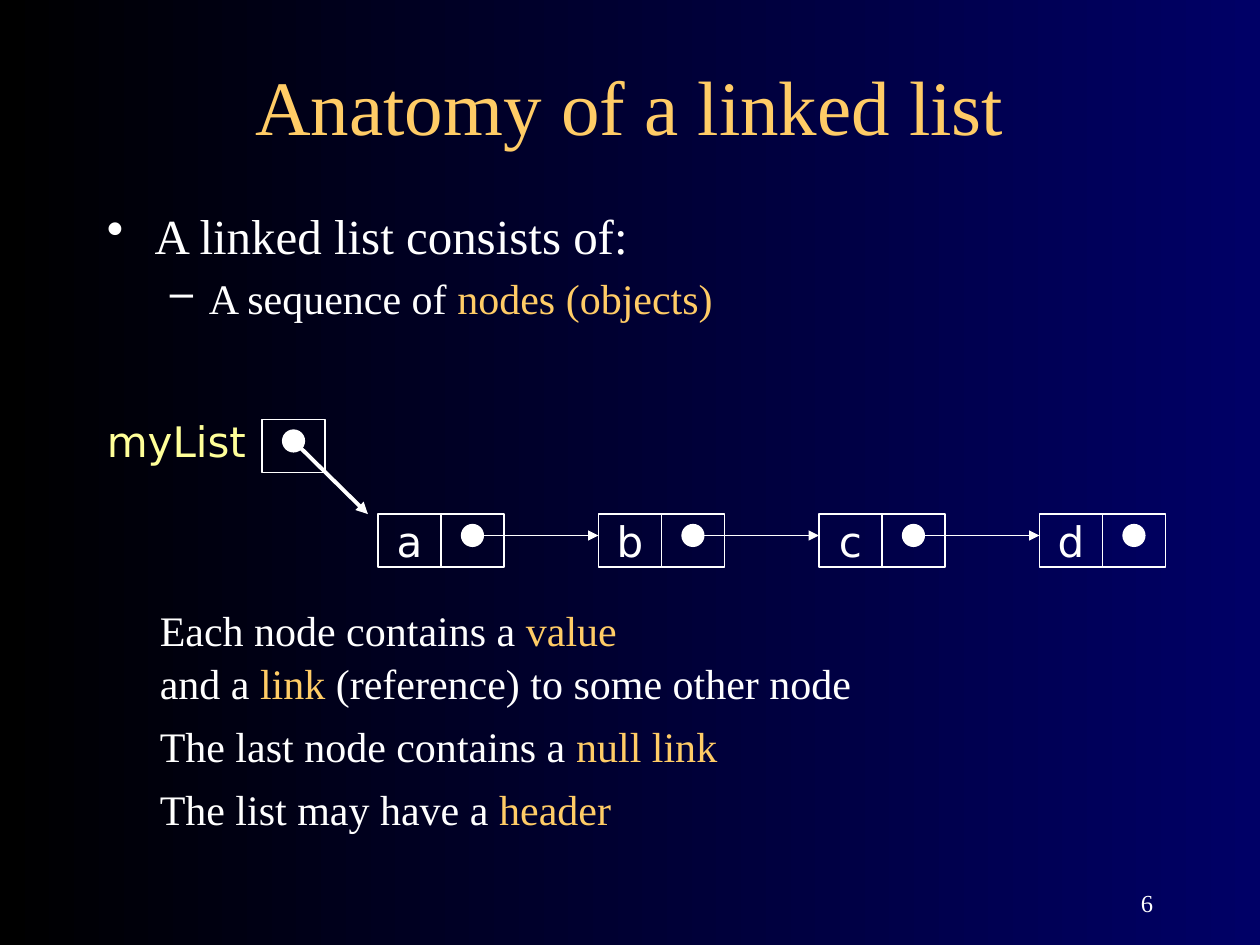
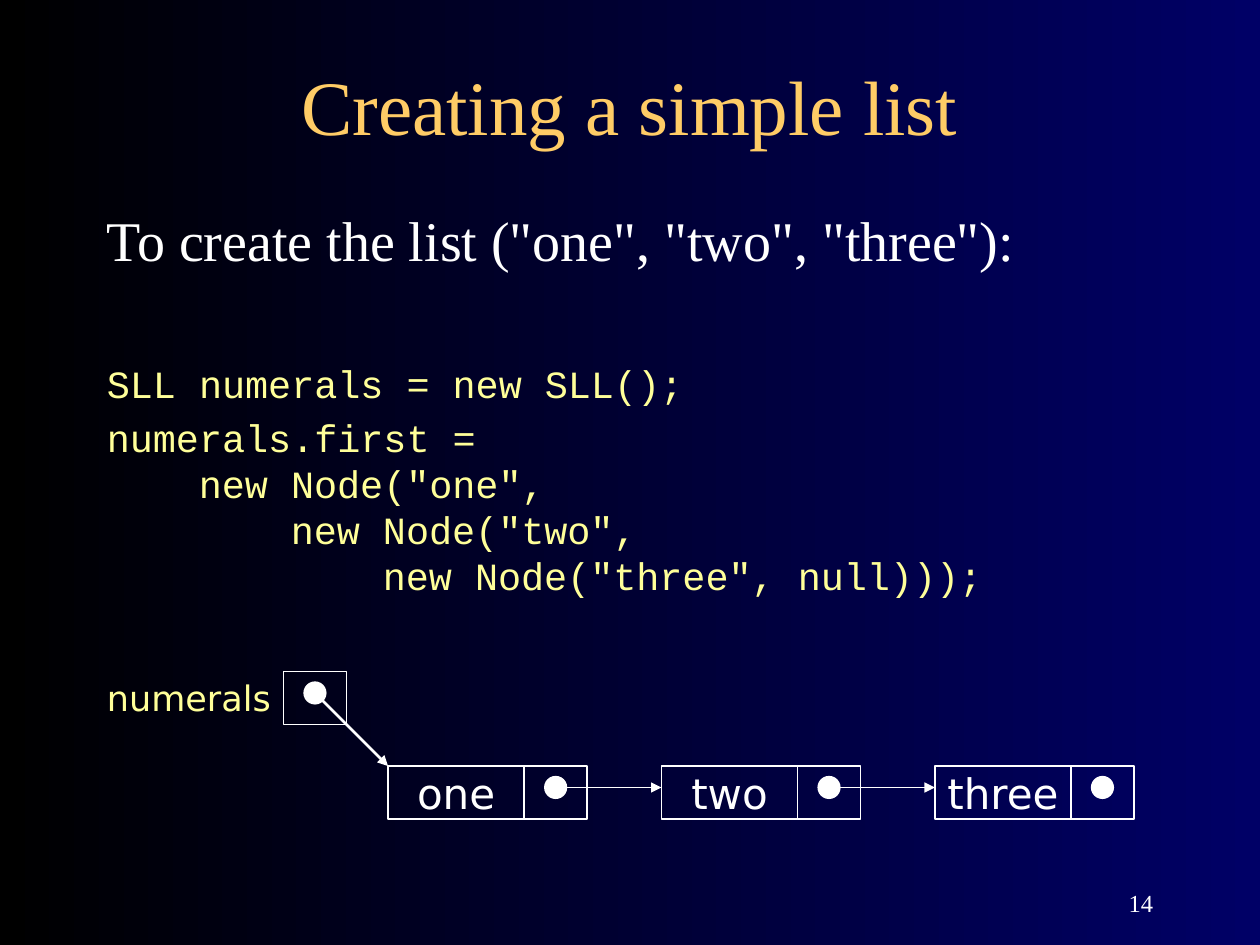
from lxml import etree
from pptx import Presentation
from pptx.dml.color import RGBColor
from pptx.enum.shapes import MSO_CONNECTOR, MSO_SHAPE
from pptx.enum.text import MSO_ANCHOR, PP_ALIGN
from pptx.oxml.ns import qn
from pptx.util import Inches, Pt

STRAIGHT = MSO_CONNECTOR.STRAIGHT
RECTANGLE, OVAL = MSO_SHAPE.RECTANGLE, MSO_SHAPE.OVAL
TOP, MIDDLE, BOTTOM = MSO_ANCHOR.TOP, MSO_ANCHOR.MIDDLE, MSO_ANCHOR.BOTTOM
LEFT, CENTER, RIGHT = PP_ALIGN.LEFT, PP_ALIGN.CENTER, PP_ALIGN.RIGHT

SERIF, SANS, MONO = "Times New Roman", "DejaVu Sans", "Courier New"
BLACK, NAVY, WHITE = "000000", "000066", "FFFFFF"
GOLD, YELLOW = "FFCC66", "FFFF99"

CELL_WIDTH, CELL_HEIGHT = 0.5, 0.42
DOT_SIZE = 0.17
DOT_X, DOT_Y = 0.25, 0.17
CODE_INDENT = 0.73


def rgb(value):
    return RGBColor.from_string(value)


def set_background(deck):
    fill = deck.slide_master.background.fill
    fill.gradient()
    fill.gradient_angle = 0
    for stop, color in zip(fill.gradient_stops, (BLACK, NAVY)):
        stop.color.rgb = rgb(color)


def write_para(para, spans, size, font=SERIF, align=LEFT, before=0):
    para.alignment = align
    para.space_before = Pt(before)
    for text, color in spans:
        span = para.add_run()
        span.text = text
        span.font.size = Pt(size)
        span.font.name = font
        span.font.color.rgb = rgb(color)


def indent_para(para, left, first=0, bullet=None):
    properties = para._p.get_or_add_pPr()
    properties.set("marL", str(Inches(left)))
    properties.set("indent", str(Inches(first)))
    if bullet:
        etree.SubElement(properties, qn("a:buChar")).set("char", bullet)


def add_frame(page, left, top, width, height, anchor=TOP):
    box = page.shapes.add_textbox(Inches(left), Inches(top), Inches(width), Inches(height))
    frame = box.text_frame
    frame.word_wrap = True
    frame.vertical_anchor = anchor
    return frame


def add_page(deck, title, number):
    page = deck.slides.add_slide(deck.slide_layouts[6])
    frame = add_frame(page, 7.17, 6.83, 2.08, 0.5, BOTTOM)
    write_para(frame.paragraphs[0], [(number, WHITE)], 14, align=RIGHT)
    frame = add_frame(page, 0.75, 0.42, 8.5, 0.83, MIDDLE)
    write_para(frame.paragraphs[0], [(title, GOLD)], 44, align=CENTER)
    return page


def add_outline(page, kind, left, top, width, height):
    shape = page.shapes.add_shape(kind, Inches(left), Inches(top), Inches(width), Inches(height))
    shape.shadow.inherit = False
    shape.fill.background()
    shape.line.color.rgb = rgb(WHITE)
    shape.line.width = Pt(1)
    return shape


def add_value_cell(page, left, top, width, value):
    frame = add_outline(page, RECTANGLE, left, top, width, CELL_HEIGHT).text_frame
    frame.word_wrap = False
    frame.vertical_anchor = MIDDLE
    write_para(frame.paragraphs[0], [(value, WHITE)], 24, SANS, CENTER)


def add_link_cell(page, left, top):
    add_outline(page, RECTANGLE, left, top, CELL_WIDTH, CELL_HEIGHT)
    dot = add_outline(page, OVAL, left + DOT_X - DOT_SIZE / 2, top + DOT_Y - DOT_SIZE / 2,
                      DOT_SIZE, DOT_SIZE)
    dot.fill.solid()
    dot.fill.fore_color.rgb = rgb(WHITE)
    return left + DOT_X, top + DOT_Y


def add_arrow(page, start, end, weight=1):
    arrow = page.shapes.add_connector(STRAIGHT, *(Inches(value) for value in start + end))
    arrow.line.color.rgb = rgb(WHITE)
    arrow.line.width = Pt(weight)
    etree.SubElement(arrow.line._get_or_add_ln(), qn("a:tailEnd")).set("type", "triangle")
    etree.SubElement(arrow._element.spPr, qn("a:effectLst"))


def add_chain(page, left, top, values, value_width, pitch):
    for index, value in enumerate(values):
        node_left = left + index * pitch
        add_value_cell(page, node_left, top, value_width, value)
        link_x, link_y = add_link_cell(page, node_left + value_width, top)
        if index < len(values) - 1:
            add_arrow(page, (link_x, link_y), (node_left + pitch, link_y))


def add_header(page, name, size, name_top, left, top, target, weight):
    frame = add_frame(page, 0.75, name_top, left - 0.65, 0.5)
    write_para(frame.paragraphs[0], [(name, YELLOW)], size, SANS)
    add_arrow(page, add_link_cell(page, left, top), target, weight)


def build_anatomy(deck):
    page = add_page(deck, "Anatomy of a linked list", "6")
    frame = add_frame(page, 0.75, 1.58, 8.5, 1.58)
    para = frame.paragraphs[0]
    write_para(para, [("A linked list consists of:", WHITE)], 28)
    indent_para(para, 0.38, -0.38, "\u2022")
    para = frame.add_paragraph()
    para.level = 1
    write_para(para, [("A sequence of ", WHITE), ("nodes (objects)", GOLD)], 24, before=4.8)
    indent_para(para, 0.81, -0.31, "\u2013")

    add_chain(page, 3, 4.08, ["a", "b", "c", "d"], CELL_WIDTH, 1.75)
    add_header(page, "myList", 24, 3.25, 2.08, 3.33, (2.92, 4.08), 2.25)

    facts = [
        (4.75, [("Each node contains a ", WHITE), ("value", GOLD)]),
        (5.17, [("and a ", WHITE), ("link", GOLD), (" (reference) to some other node", WHITE)]),
        (5.67, [("The last node contains a ", WHITE), ("null link", GOLD)]),
        (6.17, [("The list may have a ", WHITE), ("header", GOLD)]),
    ]
    for top, spans in facts:
        write_para(add_frame(page, 1.17, top, 7.67, 0.5).paragraphs[0], spans, 24)


def build_creation(deck):
    page = add_page(deck, "Creating a simple list", "14")
    frame = add_frame(page, 0.75, 1.58, 8.5, 3.3)
    write_para(frame.paragraphs[0],
               [('To create the list ("one", "two", "three"):', WHITE)], 32)
    code = [
        (0, 50, "SLL numerals = new SLL();"),
        (0, 4.4, "numerals.first ="),
        (1, 0, 'new Node("one",'),
        (2, 0, 'new Node("two",'),
        (3, 0, 'new Node("three", null)));'),
    ]
    for depth, before, text in code:
        para = frame.add_paragraph()
        write_para(para, [(text, YELLOW)], 22, MONO, before=before)
        indent_para(para, depth * CODE_INDENT)

    add_chain(page, 3.08, 6.08, ["one", "two", "three"], 1.08, 2.17)
    add_header(page, "numerals", 20, 5.32, 2.25, 5.33, (3.08, 6.08), 1.5)


def main():
    deck = Presentation()
    deck.slide_width, deck.slide_height = Inches(10), Inches(7.5)
    set_background(deck)
    build_anatomy(deck)
    build_creation(deck)
    deck.save("out.pptx")


main()
